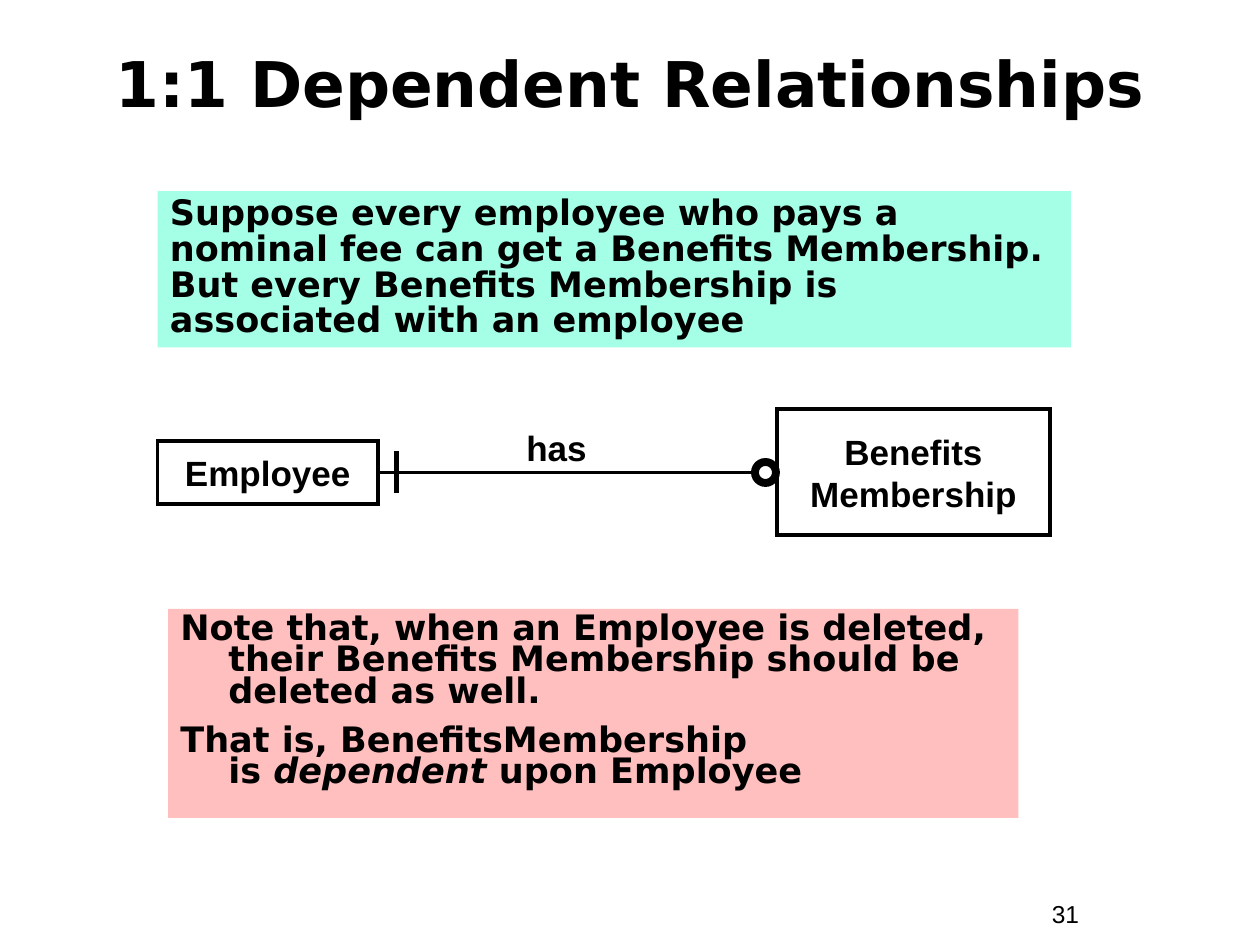
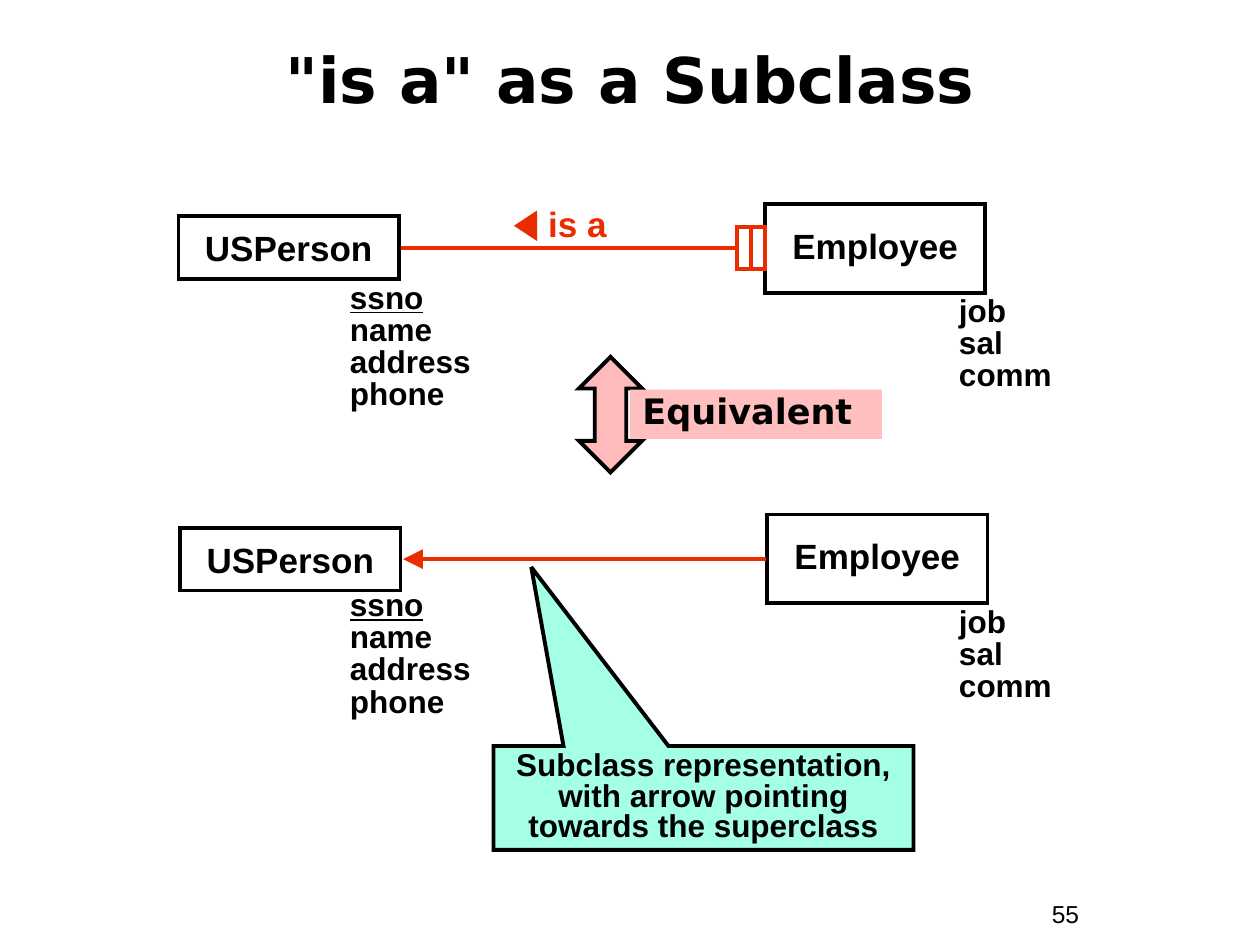
"""Builds two slides on dependent relationships and subclasses in data models."""
from dataclasses import dataclass, field
from typing import Optional

from lxml.etree import SubElement
from pptx import Presentation
from pptx.dml.color import RGBColor
from pptx.enum.shapes import MSO_CONNECTOR, MSO_SHAPE
from pptx.enum.text import MSO_ANCHOR, PP_ALIGN
from pptx.oxml.ns import qn
from pptx.util import Inches, Pt

COLUMNS, ROWS = 120, 90
SLIDE_WIDTH, SLIDE_HEIGHT = Inches(10), Inches(7.5)
BLACK, RED, MINT, ROSE, PINK = "000000", "EA2D00", "A5FFE7", "FFBFBF", "FFBBBB"
HEADING_FONT, LABEL_FONT = "DejaVu Sans", "Arial"
OUTLINE = 2.25


@dataclass(frozen=True)
class Style:
    """Describes how the text of a box looks."""
    font: str = LABEL_FONT
    size: float = 20
    bold: bool = True
    color: str = BLACK
    align: PP_ALIGN = PP_ALIGN.LEFT
    anchor: MSO_ANCHOR = MSO_ANCHOR.TOP
    spacing: float = 1.0
    gap: float = 0
    hanging: float = 0
    wrap: bool = True


@dataclass(frozen=True)
class Run:
    """Holds a stretch of text with its own format values."""
    text: str
    format: dict = field(default_factory=dict)


@dataclass(frozen=True)
class Area:
    """Places a box on the grid of columns and rows."""
    left: float
    top: float
    width: float
    height: float


@dataclass(frozen=True)
class Look:
    """Describes the outline and fill of a shape."""
    kind: MSO_SHAPE = MSO_SHAPE.RECTANGLE
    fill: Optional[str] = None
    line: Optional[str] = None
    weight: float = OUTLINE
    rotation: float = 0
    adjustments: tuple = ()


@dataclass(frozen=True)
class SubclassRow:
    """Places one version of the subclass diagram."""
    person: Area
    employee: Area
    person_attributes: Area
    employee_attributes: Area


CENTERED = {"align": PP_ALIGN.CENTER, "anchor": MSO_ANCHOR.MIDDLE}
TITLE = Style(HEADING_FONT, 36, **CENTERED)
PAGE_NUMBER = Style(size=14, bold=False)
ENTITY = Style(wrap=False, **CENTERED)
TIGHT_ENTITY = Style(wrap=False, spacing=0.85, **CENTERED)
LABEL = Style(align=PP_ALIGN.CENTER, wrap=False)
RED_LABEL = Style(align=PP_ALIGN.CENTER, wrap=False, color=RED)
ATTRIBUTES = Style(size=18, spacing=0.85)
STATEMENT = Style(HEADING_FONT, spacing=0.85)
NOTE = Style(HEADING_FONT, spacing=0.75, gap=10, hanging=0.38)
CALLOUT = Style(size=18, spacing=0.8, **CENTERED)
ENTITY_LOOK = Look(line=BLACK)

PERSON_ATTRIBUTES = [[Run("ssno", {"underline": True})], "name", "address", "phone"]
EMPLOYEE_ATTRIBUTES = ["job", "sal", "comm"]
SUBCLASS_ROWS = (
    SubclassRow(Area(17, 20.6, 21, 6), Area(72.85, 19.4, 21, 8.5),
                Area(32.15, 26.4, 15, 13.4), Area(90.15, 27.65, 14, 10.4)),
    SubclassRow(Area(17.15, 50.25, 21, 6), Area(73.05, 49, 21, 8.4),
                Area(32.15, 55.7, 15, 13.4), Area(90.15, 57.25, 14, 10.4)),
)


def color_of(value: str) -> RGBColor:
    """Turn a hex string into a colour."""
    return RGBColor.from_string(value)


def column(number: float) -> int:
    """Return the distance of a column from the left edge."""
    return round(SLIDE_WIDTH * number / COLUMNS)


def row(number: float) -> int:
    """Return the distance of a row from the top edge."""
    return round(SLIDE_HEIGHT * number / ROWS)


def place(area: Area) -> tuple:
    """Return the position and size of an area."""
    return column(area.left), row(area.top), column(area.width), row(area.height)


def write(shape, paragraphs: list, style: Style) -> None:
    """Fill a shape with styled paragraphs."""
    frame = shape.text_frame
    frame.word_wrap = style.wrap
    frame.vertical_anchor = style.anchor
    for index, content in enumerate(paragraphs):
        paragraph = frame.paragraphs[0] if index == 0 else frame.add_paragraph()
        settings = {"alignment": style.align, "line_spacing": style.spacing,
                    "space_before": Pt(style.gap if index else 0)}
        for name, value in settings.items():
            setattr(paragraph, name, value)
        if style.hanging:
            properties = paragraph._p.get_or_add_pPr()
            properties.set("marL", str(Inches(style.hanging)))
            properties.set("indent", str(-Inches(style.hanging)))
        for part in [Run(content)] if isinstance(content, str) else content:
            add_run(paragraph, part, style)


def add_run(paragraph, part: Run, style: Style) -> None:
    """Add a run to a paragraph, with a line break at each new line."""
    for index, line in enumerate(part.text.split("\n")):
        if index:
            paragraph.add_line_break()
        run = paragraph.add_run()
        run.text = line
        values = {"name": style.font, "size": Pt(style.size), "bold": style.bold}
        for name, value in {**values, **part.format}.items():
            setattr(run.font, name, value)
        run.font.color.rgb = color_of(style.color)


def add_text(slide, area: Area, paragraphs: list, style: Style) -> None:
    """Add a text box."""
    write(slide.shapes.add_textbox(*place(area)), paragraphs, style)


def add_box(slide, area: Area, look: Look, paragraphs: Optional[list] = None,
            style: Style = ENTITY) -> None:
    """Add a preset shape, with text when there is some."""
    shape = slide.shapes.add_shape(look.kind, *place(area))
    shape.shadow.inherit = False
    shape.rotation = look.rotation
    for index, value in enumerate(look.adjustments):
        shape.adjustments[index] = value
    if look.fill:
        shape.fill.solid()
        shape.fill.fore_color.rgb = color_of(look.fill)
    else:
        shape.fill.background()
    if look.line:
        shape.line.color.rgb = color_of(look.line)
        shape.line.width = Pt(look.weight)
        SubElement(shape.line._get_or_add_ln(), qn("a:miter"), lim="800000")
    else:
        shape.line.fill.background()
    if paragraphs:
        write(shape, paragraphs, style)


def add_line(slide, start: tuple, end: tuple, color: str, weight: float = OUTLINE,
             arrow: bool = False) -> None:
    """Add a straight line, with an arrowhead at its start on request."""
    line = slide.shapes.add_connector(MSO_CONNECTOR.STRAIGHT, column(start[0]),
                                      row(start[1]), column(end[0]), row(end[1]))
    line.line.color.rgb = color_of(color)
    line.line.width = Pt(weight)
    if arrow:
        SubElement(line.line._get_or_add_ln(), qn("a:headEnd"),
                   type="triangle", w="lg", len="lg")
    SubElement(line._element.spPr, qn("a:effectLst"))


def add_slide(presentation, title: str, title_area: Area, style: Style, number: int):
    """Add a blank slide with its page number and title."""
    slide = presentation.slides.add_slide(presentation.slide_layouts[6])
    add_text(slide, Area(99, 85, 11, 4.1), [str(number)], PAGE_NUMBER)
    add_text(slide, title_area, [title], style)
    return slide


def build_dependent_slide(presentation) -> None:
    """Draw the slide on one-to-one dependent relationships."""
    slide = add_slide(presentation, "1:1 Dependent Relationships", Area(4, 3, 112, 11),
                      Style(HEADING_FONT, 36, spacing=0.8, **CENTERED), 31)
    add_box(slide, Area(16, 58, 81, 19.9), Look(fill=ROSE), [
        "Note that, when an Employee is deleted, their Benefits Membership "
        "should be deleted as well.",
        [Run("That is, BenefitsMembership\nis "), Run("dependent", {"italic": True}),
         Run(" upon Employee")],
    ], NOTE)
    add_box(slide, Area(15, 42, 21, 6), ENTITY_LOOK, ["Employee"])
    add_box(slide, Area(74, 39, 26, 12), ENTITY_LOOK, ["Benefits\nMembership"])
    add_line(slide, (36.2, 45), (71.5, 45), BLACK)
    add_text(slide, Area(47.9, 40, 10.2, 5.3), ["has"], LABEL)
    add_box(slide, Area(71.9, 44, 2, 2), Look(MSO_SHAPE.OVAL, line=BLACK, weight=4.5))
    add_line(slide, (37.75, 47), (37.75, 43), BLACK, 3)
    add_box(slide, Area(15, 18.2, 87, 14.9), Look(fill=MINT), [
        "Suppose every employee who pays a nominal fee can get a Benefits Membership. "
        "But every Benefits Membership is associated with an employee",
    ], STATEMENT)


def build_subclass_slide(presentation) -> None:
    """Draw the slide that compares two notations for a subclass."""
    slide = add_slide(presentation, '"is a" as a Subclass', Area(13, 4, 94, 7), TITLE, 55)
    for diagram in SUBCLASS_ROWS:
        add_box(slide, diagram.person, ENTITY_LOOK, ["USPerson"])
        add_box(slide, diagram.employee, ENTITY_LOOK, ["Employee"], TIGHT_ENTITY)
        add_text(slide, diagram.person_attributes, PERSON_ATTRIBUTES, ATTRIBUTES)
        add_text(slide, diagram.employee_attributes, EMPLOYEE_ATTRIBUTES, ATTRIBUTES)
    add_line(slide, (38.2, 23.6), (70, 23.6), RED)
    add_text(slide, Area(49, 18.65, 12, 5.3), ["is a"], RED_LABEL)
    add_box(slide, Area(48.6, 20.4, 2.9, 2.2),
            Look(MSO_SHAPE.ISOSCELES_TRIANGLE, fill=RED, rotation=270))
    for index in range(2):
        add_box(slide, Area(70.2 + index * 1.35, 21.6, 1.35, 4), Look(line=RED))
    add_line(slide, (38.4, 53.25), (73, 53.25), RED, arrow=True)
    add_box(slide, Area(55.15, 34, 6, 11),
            Look(MSO_SHAPE.UP_DOWN_ARROW, PINK, BLACK, adjustments=(0.37, 0.5)))
    add_box(slide, Area(47, 71.05, 40, 9.9),
            Look(MSO_SHAPE.RECTANGULAR_CALLOUT, MINT, BLACK, adjustments=(-0.41, -2.22)),
            ["Subclass representation, with arrow pointing towards the superclass"], CALLOUT)
    add_box(slide, Area(60, 37.1, 24, 4.7), Look(fill=ROSE), ["Equivalent"], STATEMENT)


def main() -> None:
    """Build the presentation and save it."""
    presentation = Presentation()
    presentation.slide_width, presentation.slide_height = SLIDE_WIDTH, SLIDE_HEIGHT
    build_dependent_slide(presentation)
    build_subclass_slide(presentation)
    presentation.save("out.pptx")


if __name__ == "__main__":
    main()
